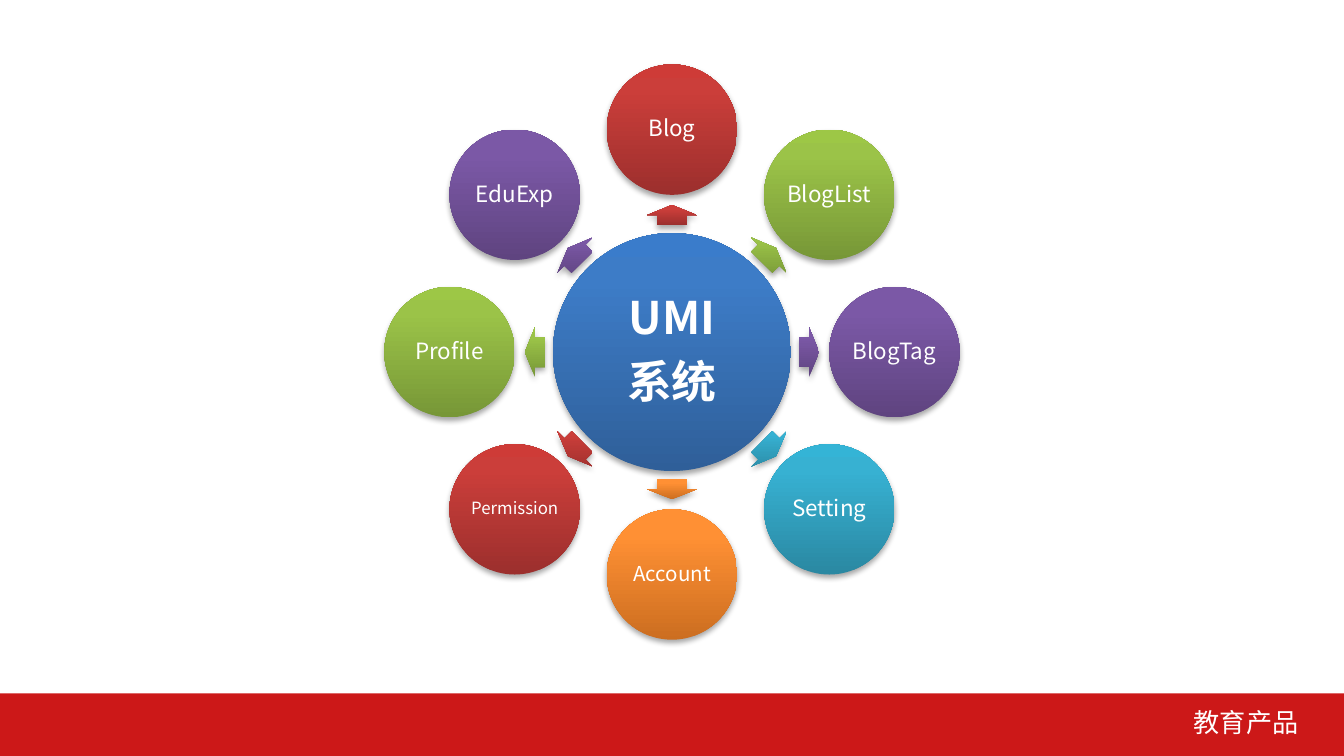
from math import cos, radians, sin

from lxml.etree import SubElement
from pptx import Presentation
from pptx.dml.color import RGBColor
from pptx.enum.shapes import MSO_SHAPE
from pptx.enum.text import MSO_ANCHOR, PP_ALIGN
from pptx.oxml import parse_xml
from pptx.oxml.ns import nsdecls, qn
from pptx.util import Inches, Pt

FONT = "Noto Sans CJK SC"
# Gradient stops from the bottom of a shape to its top
BLUE = ("2F5F99", "3D7CC7", "3A7CCB")
RED = ("9C2F2D", "CB3E3A", "CE3B37")
GREEN = ("779737", "9BC348", "9DC746")
PURPLE = ("5F4480", "7B58A6", "7C57A8")
TEAL = ("2A88A2", "37B1D2", "34B4D6")
ORANGE = ("CC6E20", "FF9034", "FF9136")

# Clockwise from the top: label, colours, text size
MODULES = [
    ("Blog", RED, 12),
    ("BlogList", GREEN, 12),
    ("BlogTag", PURPLE, 12),
    ("Setting", TEAL, 12),
    ("Account", ORANGE, 11),
    ("Permission", RED, 9),
    ("Profile", GREEN, 12),
    ("EduExp", PURPLE, 12),
]


def rgb(hex_color):
    return RGBColor.from_string(hex_color)


def write_text(shape, text, size, bold=False, align=PP_ALIGN.CENTER,
               anchor=MSO_ANCHOR.MIDDLE, inset=None, line=None, after=None):
    """Fill a shape with one paragraph per line; after is a percentage of the line."""
    frame = shape.text_frame
    frame.word_wrap = True
    frame.vertical_anchor = anchor
    if inset is not None:
        frame.margin_left = frame.margin_right = Inches(inset)
        frame.margin_top = frame.margin_bottom = Inches(inset)
    frame.text = text
    for para in frame.paragraphs:
        para.alignment = align
        para.line_spacing = line
        if after is not None:
            spacing = SubElement(para._p.get_or_add_pPr(), qn("a:spcAft"))
            SubElement(spacing, qn("a:spcPct")).set("val", str(after * 1000))
        for span in para.runs:
            span.font.name = FONT
            span.font.size = Pt(size)
            span.font.bold = bold
            span.font.color.rgb = rgb("FFFFFF")
            SubElement(span._r.get_or_add_rPr(), qn("a:ea")).set("typeface", FONT)


def add_glossy(page, kind, center_x, center_y, width, height, colors):
    """Add a centred shape with an upright gradient and a soft shadow."""
    shape = page.shapes.add_shape(
        kind, Inches(center_x - width / 2), Inches(center_y - height / 2),
        Inches(width), Inches(height))
    shape.line.fill.background()
    stops = "".join(
        f'<a:gs pos="{place * 1000}"><a:srgbClr val="{color}"/></a:gs>'
        for place, color in zip((0, 80, 100), colors))
    properties = shape._element.spPr
    properties.find(qn("a:prstGeom")).addnext(parse_xml(
        f'<a:gradFill {nsdecls("a")} rotWithShape="0"><a:gsLst>{stops}</a:gsLst>'
        '<a:lin ang="16200000" scaled="0"/></a:gradFill>'))
    properties.append(parse_xml(
        f'<a:effectLst {nsdecls("a")}><a:outerShdw blurRad="40000" dist="23000" '
        'dir="5400000" rotWithShape="0"><a:srgbClr val="000000">'
        '<a:alpha val="35000"/></a:srgbClr></a:outerShdw></a:effectLst>'))
    return shape


def add_radial_diagram(page, left, top, size):
    """Draw the hub, with arrows out to a ring of modules, in a square box."""
    center_x, center_y = left + size / 2, top + size / 2
    module_size = 0.97
    module_radius = (size - module_size) / 2
    arrow_radius = 1.02

    hub = add_glossy(page, MSO_SHAPE.OVAL, center_x, center_y, 1.77, 1.77, BLUE)
    write_text(hub, "UMI\n系统", 24, bold=True, inset=0.03, line=0.9, after=35)

    for index, (label, colors, text_size) in enumerate(MODULES):
        angle = index * 360 / len(MODULES) - 90
        across, down = cos(radians(angle)), sin(radians(angle))
        arrow = add_glossy(page, MSO_SHAPE.RIGHT_ARROW,
                           center_x + arrow_radius * across,
                           center_y + arrow_radius * down, 0.15, 0.37, colors)
        arrow.adjustments[0] = 0.6
        arrow.adjustments[1] = 0.5
        arrow.rotation = angle % 360
        module = add_glossy(page, MSO_SHAPE.OVAL,
                            center_x + module_radius * across,
                            center_y + module_radius * down,
                            module_size, module_size, colors)
        write_text(module, label, text_size, inset=0.01 if text_size < 10 else 0.02,
                   line=0.9, after=35)


def add_footer(page, left, top, width, height):
    band = page.shapes.add_shape(MSO_SHAPE.RECTANGLE, Inches(left), Inches(top),
                                 Inches(width), Inches(height))
    band.shadow.inherit = False
    band.fill.solid()
    band.fill.fore_color.rgb = rgb("CC1818")
    band.line.fill.background()
    box = page.shapes.add_textbox(Inches(left + 3.65), Inches(top + 0.05),
                                  Inches(6.11), Inches(0.3))
    write_text(box, "教育产品", 14, align=PP_ALIGN.RIGHT, anchor=MSO_ANCHOR.TOP)


def main():
    deck = Presentation()
    deck.slide_width = Inches(10)
    deck.slide_height = deck.slide_width * 9 // 16
    page = deck.slides.add_slide(deck.slide_layouts[6])
    add_footer(page, 0, 5.16, 10, 0.47)
    add_radial_diagram(page, 2.86, 0.48, 4.28)
    deck.save("out.pptx")


if __name__ == "__main__":
    main()
